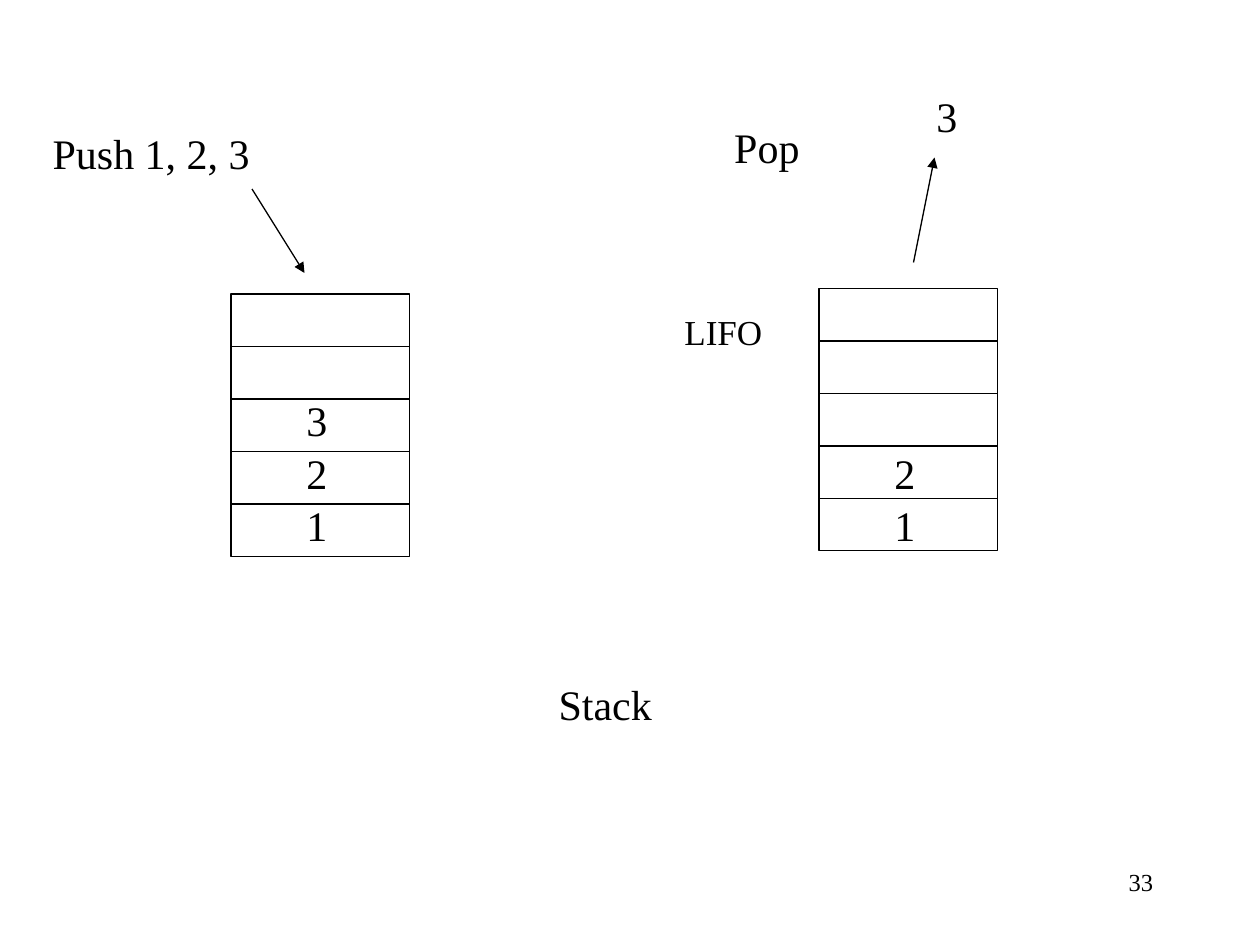
import pptx
import pptx.util
import pptx.dml.color
import pptx.enum.shapes
import pptx.enum.text
import pptx.oxml
from pptx.oxml.ns import qn

Pt = pptx.util.Pt
BLACK = pptx.dml.color.RGBColor(0, 0, 0)
FONT = "Times New Roman"
LEFT = pptx.enum.text.PP_ALIGN.LEFT
RIGHT = pptx.enum.text.PP_ALIGN.RIGHT

CELLS, CELL_W, CELL_H = 5, 102, 30
VALUE_INDENT, VALUE_BOTTOM, VALUE_W, LABEL_H = 36, 282, 26.5, 36

TITLE = ("Stack", (312, 384, 72, LABEL_H))
# left, top, values from the bottom up
STACKS = [
    (132, 168, ["1", "2", "3"]),
    (468, 164.8, ["1", "2"]),
]
# text, (left, top, width, height), size
LABELS = [
    ("Push 1, 2, 3", (23, 69.3, 127.5, LABEL_H), 24),
    ("Pop", (412.5, 66, 52, LABEL_H), 24),
    ("LIFO", (384, 174, 59, 31), 20),
    ("3", (528, 48, VALUE_W, LABEL_H), 24),
]
ARROWS = [((144, 108), (174, 156)), ((522, 150), (534, 90))]
PAGE = ("33", (546, 492, 120, 36))


def write(sp, text, box, size=24, align=LEFT, wrap=False, grow=True):
    """Place a text shape and fill it with one formatted run."""
    sp.left, sp.top, sp.width, sp.height = map(Pt, box)
    tf = sp.text_frame
    tf.word_wrap = wrap
    tf.vertical_anchor = pptx.enum.text.MSO_ANCHOR.TOP
    sizes = pptx.enum.text.MSO_AUTO_SIZE
    tf.auto_size = sizes.SHAPE_TO_FIT_TEXT if grow else sizes.NONE
    p = tf.paragraphs[0]
    p.alignment = align
    r = p.add_run()
    r.text = text
    r.font.name, r.font.size = FONT, Pt(size)
    r.font.color.rgb = BLACK


def label(s, text, box, **style):
    """Add a text box."""
    write(s.shapes.add_textbox(0, 0, 0, 0), text, box, **style)


def line(s, start, end, arrow=False):
    """Add a thin black line, with an arrowhead at its end if asked."""
    cx = s.shapes.add_connector(
        pptx.enum.shapes.MSO_CONNECTOR.STRAIGHT, *map(Pt, start + end))
    cx.line.color.rgb = BLACK
    cx.line.width = Pt(0.75)
    props = cx.line._get_or_add_ln()
    if arrow:
        head = pptx.oxml.xmlchemy.OxmlElement("a:tailEnd")
        head.set("type", "triangle")
        props.append(head)
    props.addnext(props.makeelement(qn("a:effectLst"), {}))


def stack(s, left, top, values):
    """Draw a stack of cells with its values."""
    sp = s.shapes.add_shape(
        pptx.enum.shapes.MSO_SHAPE.RECTANGLE,
        *map(Pt, (left, top, CELL_W, CELLS * CELL_H)))
    sp.shadow.inherit = False
    sp.fill.background()
    sp.line.color.rgb = BLACK
    sp.line.width = Pt(0.75)
    for i in range(1, CELLS):
        y = top + i * CELL_H
        line(s, (left, y), (left + CELL_W, y))
    for i, value in enumerate(values):
        label(s, value, (left + VALUE_INDENT, VALUE_BOTTOM - i * CELL_H,
                         VALUE_W, LABEL_H))


prs = pptx.Presentation()
prs.slide_width, prs.slide_height = Pt(720), Pt(540)
s = prs.slides.add_slide(prs.slide_layouts[5])

write(s.shapes.title, *TITLE, grow=False)
for left, top, values in STACKS:
    stack(s, left, top, values)
for text, box, size in LABELS:
    label(s, text, box, size=size)
for start, end in ARROWS:
    line(s, start, end, arrow=True)
label(s, *PAGE, size=14, align=RIGHT, wrap=True, grow=False)

prs.save("out.pptx")
